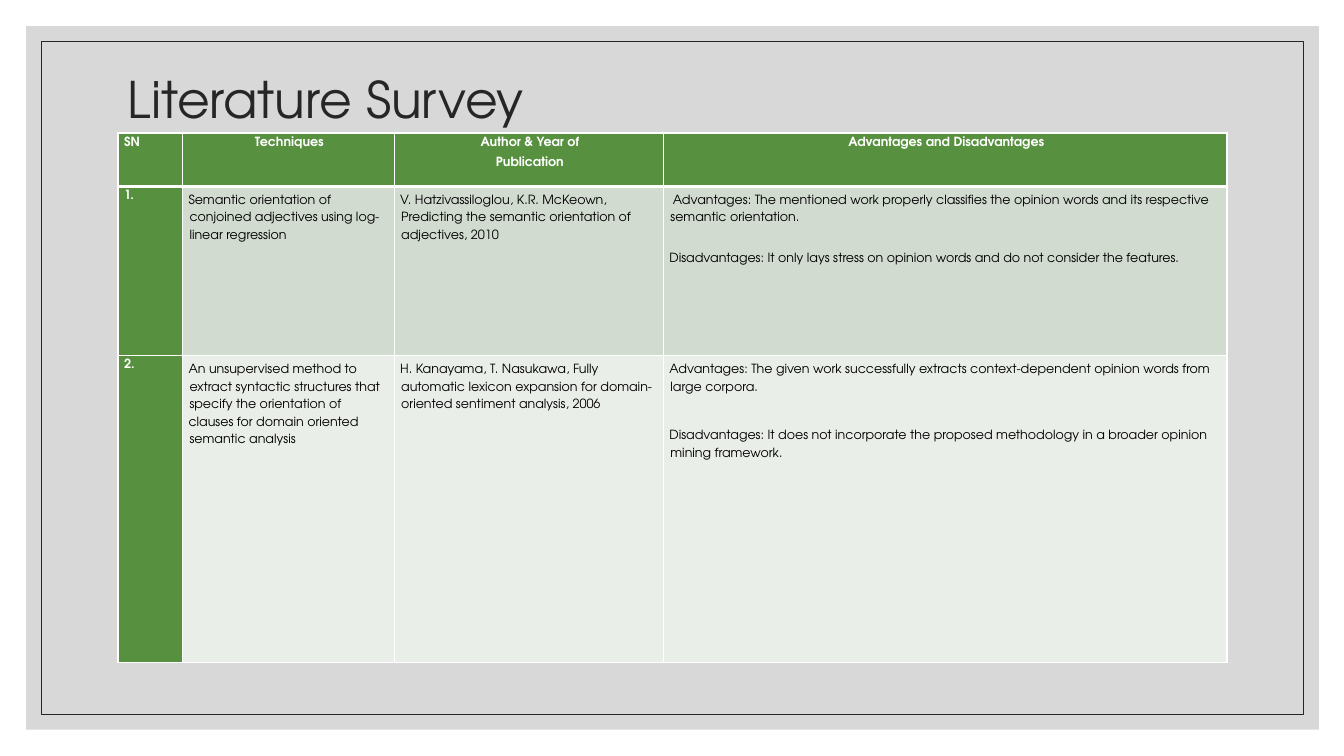
from dataclasses import dataclass
from lxml.etree import SubElement
from pptx import Presentation
from pptx.dml.color import RGBColor
from pptx.enum.shapes import MSO_SHAPE
from pptx.enum.text import MSO_ANCHOR, PP_ALIGN
from pptx.oxml import parse_xml
from pptx.oxml.ns import nsdecls, qn
from pptx.util import Inches, Pt

FONT = "TeX Gyre Adventor"
HUE = {"white": "FFFFFF", "black": "000000", "ink": "262626", "panel": "BFBFBF",
       "green": "57903F", "sage": "D1DBCF", "pale": "EAEEE8"}


@dataclass
class Para:
    text: str
    after: float = 0


@dataclass
class Look:
    fill: str
    ink: str
    bold: bool
    space: float
    align: PP_ALIGN = PP_ALIGN.LEFT


LABEL = Look("green", "white", True, 1.07)
HEAD = Look("green", "white", True, 1.07, PP_ALIGN.CENTER)
SAGE = Look("sage", "black", False, 1.5)
PALE = Look("pale", "black", False, 1.5)

COLS = [0.64, 2.1, 2.67, 5.59]
ROWS = [0.53, 1.68, 3.04]
LOOKS = [HEAD, SAGE, PALE]
CELLS = [
    [[Para("SN")],
     [Para("Techniques")],
     [Para("Author & Year of", 5.7), Para("Publication")],
     [Para("Advantages and Disadvantages")]],
    [[Para("1.")],
     [Para("Semantic orientation of conjoined adjectives using log-linear regression")],
     [Para("V. Hatzivassiloglou, K.R. McKeown, Predicting the semantic "
           "orientation of adjectives, 2010")],
     [Para(" Advantages: The mentioned work properly classifies the opinion words "
           "and its respective semantic orientation.", 16.4),
      Para("Disadvantages: It only lays stress on opinion words and do not "
           "consider the features.")]],
    [[Para("2.")],
     [Para("An unsupervised method to extract syntactic structures that specify "
           "the orientation of"),
      Para("clauses for domain oriented semantic analysis")],
     [Para("H. Kanayama, T. Nasukawa, Fully automatic lexicon expansion for "
           "domain-oriented sentiment analysis, 2006")],
     [Para("Advantages: The given work successfully extracts context-dependent "
           "opinion words from large corpora.", 22.3),
      Para("Disadvantages: It does not incorporate the proposed methodology in a "
           "broader opinion mining framework.")]],
]


def color(name: str) -> RGBColor:
    return RGBColor.from_string(HUE[name])


def add_run(para, text: str, size: float, ink: str, bold: bool = False) -> None:
    run = para.add_run()
    run.text = text
    run.font.name = FONT
    run.font.size = Pt(size)
    run.font.bold = bold
    run.font.color.rgb = color(ink)


def add_rect(slide, edge: float, width: float, height: float):
    rect = slide.shapes.add_shape(MSO_SHAPE.RECTANGLE, Inches(edge), Inches(edge),
                                  Inches(width), Inches(height))
    rect.shadow.inherit = False
    return rect


def add_edges(cell, row: int) -> None:
    """White rules, thicker under the header row."""
    props = cell._tc.get_or_add_tcPr()
    wide = {"L": 1, "R": 1, "T": 3 if row == 1 else 1, "B": 3 if row == 0 else 1}
    for spot, (side, width) in enumerate(wide.items()):
        props.insert(spot, parse_xml(
            f'<a:ln{side} {nsdecls("a")} w="{Pt(width)}"><a:solidFill>'
            f'<a:srgbClr val="{HUE["white"]}"/></a:solidFill></a:ln{side}>'))


def fill_cell(cell, paras: list[Para], look: Look) -> None:
    cell.margin_left, cell.margin_top = Inches(0.06), Inches(0.03)
    cell.margin_right, cell.margin_bottom = Inches(0.04), Inches(0)
    cell.fill.solid()
    cell.fill.fore_color.rgb = color(look.fill)
    frame = cell.text_frame
    for num, item in enumerate(paras):
        para = frame.add_paragraph() if num else frame.paragraphs[0]
        para.alignment = look.align
        para.line_spacing = look.space
        para.space_after = Pt(item.after)
        props = para._p.get_or_add_pPr()
        props.set("marL", str(Inches(0.01)))
        props.set("indent", str(Inches(-0.01)))
        add_run(para, item.text, 9, look.ink, look.bold)


deck = Presentation()
deck.slide_width, deck.slide_height = Inches(13.33), Inches(7.5)
slide = deck.slides.add_slide(deck.slide_layouts[6])

# Grey panel and thin frame
panel = add_rect(slide, 0.26, 12.82, 6.98)
panel.fill.solid()
panel.fill.fore_color.rgb = color("panel")
panel.line.fill.background()
tint = panel._element.spPr.find(qn("a:solidFill"))[0]
SubElement(tint, qn("a:alpha")).set("val", "60000")

border = add_rect(slide, 0.41, 12.52, 6.68)
border.fill.background()
border.line.color.rgb = color("ink")
border.line.width = Pt(0.5)

# Title
title = slide.shapes.add_textbox(Inches(1.17), Inches(0.7), Inches(11), Inches(0.63))
title.text_frame.word_wrap = True
title.text_frame.vertical_anchor = MSO_ANCHOR.MIDDLE
line = title.text_frame.paragraphs[0]
line.line_spacing = 0.9
add_run(line, "Literature Survey", 36, "ink")

# Survey table
table = slide.shapes.add_table(len(ROWS), len(COLS), Inches(1.17), Inches(1.32),
                               Inches(sum(COLS)), Inches(sum(ROWS))).table
for col, width in zip(table.columns, COLS):
    col.width = Inches(width)
for row, height in zip(table.rows, ROWS):
    row.height = Inches(height)
for row, (cells, look) in enumerate(zip(CELLS, LOOKS)):
    for col, paras in enumerate(cells):
        cell = table.cell(row, col)
        fill_cell(cell, paras, look if col else LABEL)
        add_edges(cell, row)

deck.save("out.pptx")
